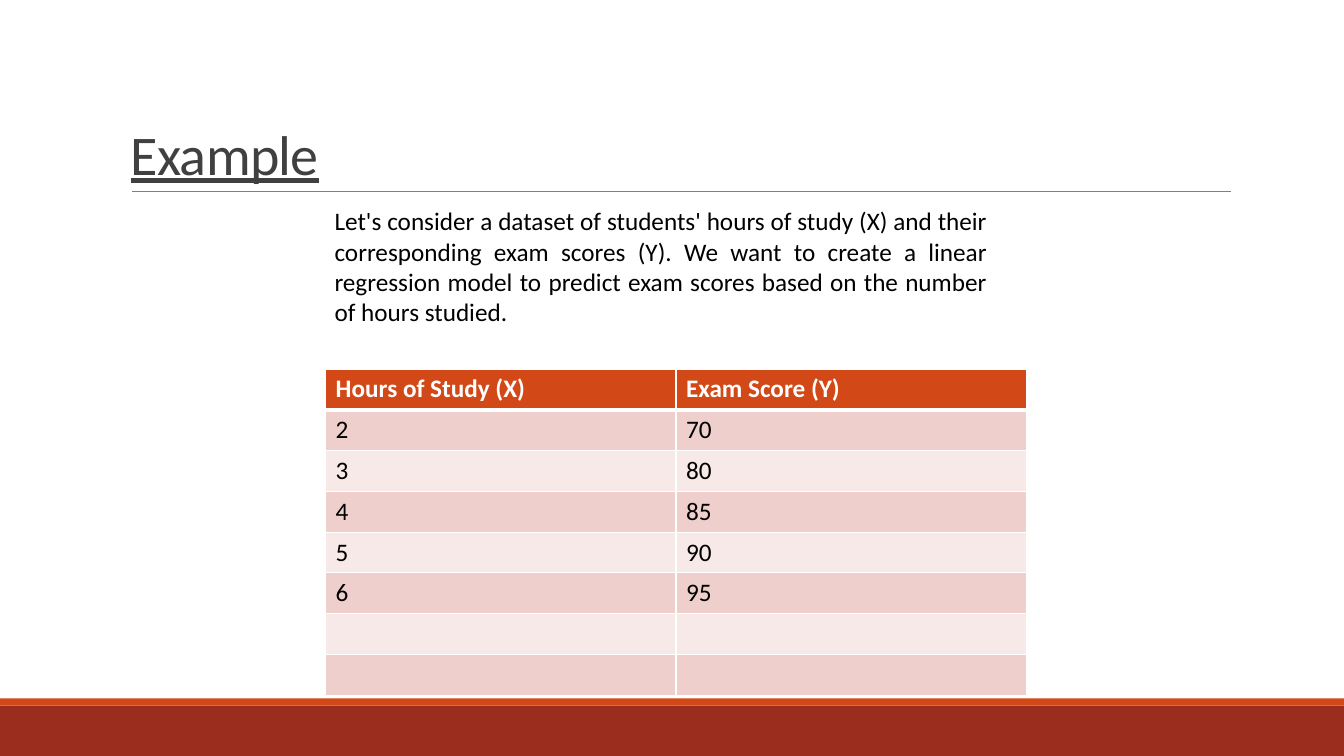
from lxml import etree
from pptx import Presentation
from pptx import util as u
from pptx.dml.color import RGBColor
from pptx.enum import shapes, text
from pptx.oxml.ns import qn

COLORS = {
    "white": "FFFFFF", "black": "000000", "title": "404040", "rule": "808080",
    "orange": "D34817", "brick": "9B2D1F", "dark_row": "EFCFCC", "light_row": "F7E9E8",
}
SCORES = [
    ("Hours of Study (X)", "Exam Score (Y)"),
    ("2", "70"), ("3", "80"), ("4", "85"), ("5", "90"), ("6", "95"),
    ("", ""), ("", ""),
]
INTRO = (
    "Let's consider a dataset of students' hours of study (X) and their corresponding "
    "exam scores (Y). We want to create a linear regression model to predict exam scores "
    "based on the number of hours studied."
)


def color(name):
    """Return the named palette colour."""
    return RGBColor.from_string(COLORS[name])


def apply(target, values):
    """Set each attribute of the target from a dict."""
    for name, value in values.items():
        setattr(target, name, value)


class SlideBuilder:
    """Holds the text style and the current slide."""

    font = "Calibri"

    def __init__(self, page):
        """Keep the page to draw on."""
        self.page = page

    def add_span(self, para, words, ink, size=18, spacing=None, **format_values):
        """Add one styled span to a paragraph."""
        span = para.add_run()
        span.text = words
        apply(span.font, {"name": self.font, "size": u.Pt(size), **format_values})
        span.font.color.rgb = color(ink)
        if spacing is not None:
            span.font._element.set("spc", str(int(spacing * 100)))

    def bar(self, top, height, fill):
        """Draw a full-width bar."""
        bar = self.page.shapes.add_shape(
            shapes.MSO_SHAPE.RECTANGLE, 0, u.Inches(top), u.Inches(13.33), u.Inches(height))
        bar.shadow.inherit = False
        bar.fill.solid()
        bar.fill.fore_color.rgb = color(fill)
        bar.line.fill.background()

    def rule(self, left, right, top):
        """Draw a thin horizontal line."""
        line = self.page.shapes.add_connector(
            shapes.MSO_CONNECTOR.STRAIGHT,
            u.Inches(left), u.Inches(top), u.Inches(right), u.Inches(top))
        line.line.width = u.Pt(0.5)
        line.line.color.rgb = color("rule")
        etree.SubElement(line._element.spPr, qn("a:effectLst"))

    def textbox(self, area, words, ink, frame_values, para_values, **span_values):
        """Add a wrapped text box with one paragraph."""
        box = self.page.shapes.add_textbox(*map(u.Inches, area))
        apply(box.text_frame, {"word_wrap": True, **frame_values})
        para = box.text_frame.paragraphs[0]
        apply(para, para_values)
        self.add_span(para, words, ink, **span_values)

    def border(self, cell, widths):
        """Give a cell white borders with a width in points per side."""
        properties = cell._tc.get_or_add_tcPr()
        for index, (side, width) in enumerate(widths.items()):
            line = etree.Element(qn(f"a:ln{side}"), w=str(u.Pt(width)))
            fill = etree.SubElement(line, qn("a:solidFill"))
            etree.SubElement(fill, qn("a:srgbClr"), val=COLORS["white"])
            properties.insert(index, line)

    def table(self, area, rows):
        """Add a table with a header row and banded body rows."""
        table = self.page.shapes.add_table(
            len(rows), len(rows[0]), *map(u.Inches, area)).table
        for index, row in enumerate(rows):
            header = index == 0
            fill = "orange" if header else ("light_row", "dark_row")[index % 2]
            for column, words in enumerate(row):
                cell = table.cell(index, column)
                cell.fill.solid()
                cell.fill.fore_color.rgb = color(fill)
                self.border(cell, {"L": 1, "R": 1, "T": 3 if index == 1 else 1,
                                   "B": 3 if header else 1})
                if words:
                    self.add_span(cell.text_frame.paragraphs[0], words,
                                  "white" if header else "black", bold=header)


def main():
    """Build the example slide and save it."""
    deck = Presentation()
    apply(deck, {"slide_width": u.Inches(13.33), "slide_height": u.Inches(7.5)})
    builder = SlideBuilder(deck.slides.add_slide(deck.slide_layouts[6]))
    builder.bar(7, 0.5, "brick")
    builder.bar(6.93, 0.07, "orange")
    builder.rule(1.31, 12.21, 1.9)
    builder.textbox((1.2, 0.31, 11, 1.59), "Example", "title",
                    {"vertical_anchor": text.MSO_ANCHOR.BOTTOM}, {"line_spacing": 0.85},
                    size=40, spacing=-0.5, underline=True)
    builder.table((3.23, 3.66, 6.95, 3.24), SCORES)
    builder.textbox((3.22, 1.99, 6.67, 1.31), INTRO, "black",
                    {"auto_size": text.MSO_AUTO_SIZE.SHAPE_TO_FIT_TEXT},
                    {"alignment": text.PP_ALIGN.JUSTIFY})
    deck.save("out.pptx")


if __name__ == "__main__":
    main()
